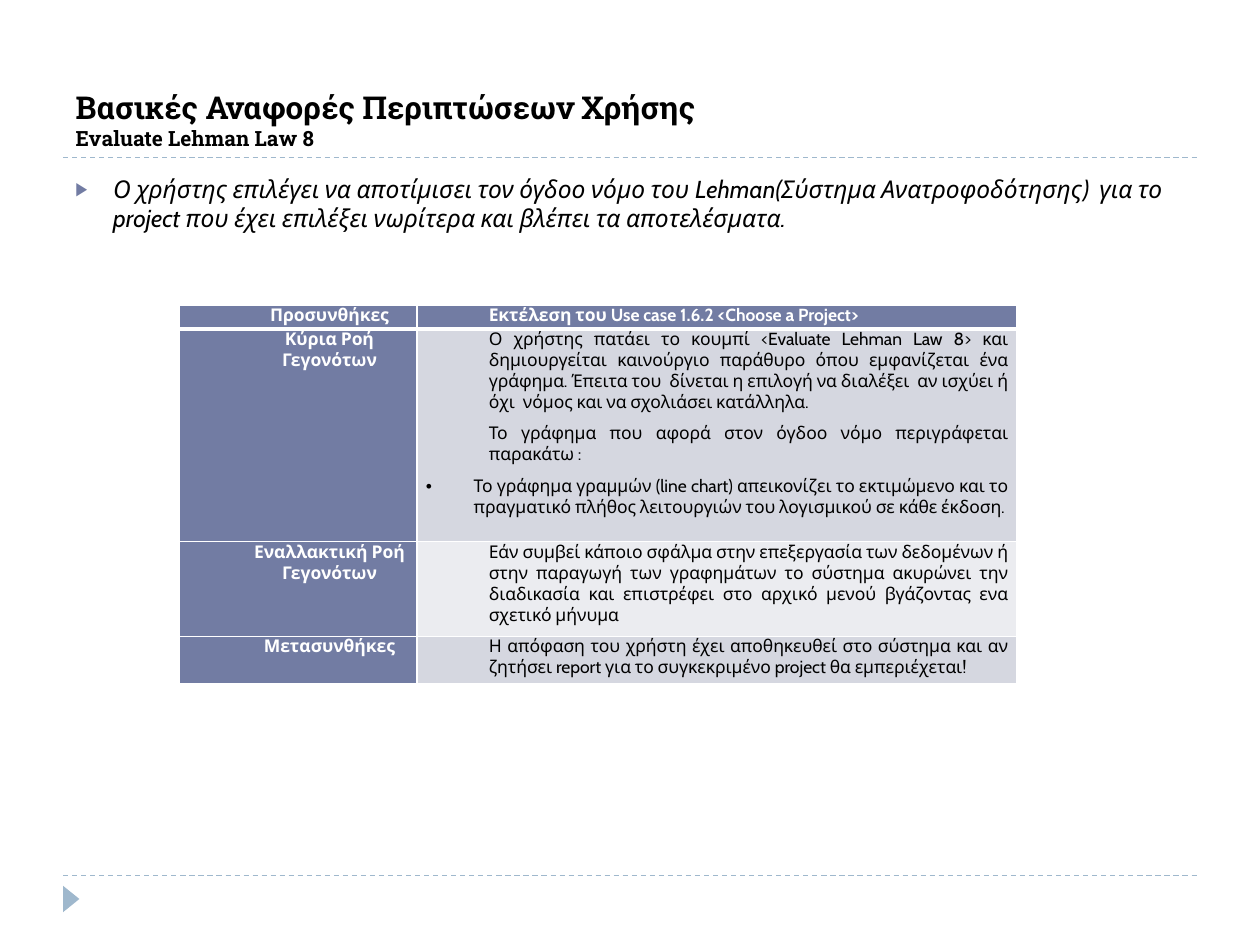
from lxml.etree import SubElement
from pptx import Presentation
from pptx.dml.color import RGBColor
from pptx.enum.dml import MSO_LINE
from pptx.enum.shapes import MSO_CONNECTOR, MSO_SHAPE
from pptx.enum.text import MSO_ANCHOR, MSO_AUTO_SIZE, PP_ALIGN
from pptx.oxml.ns import qn
from pptx.util import Inches, Pt

BLACK = RGBColor(0x00, 0x00, 0x00)
WHITE = RGBColor(0xFF, 0xFF, 0xFF)
PURPLE = RGBColor(0x72, 0x7C, 0xA3)
BLUE = RGBColor(0x9F, 0xB8, 0xCD)
BANDS = (RGBColor(0xD5, 0xD7, 0xE0), RGBColor(0xEB, 0xEC, 0xF0))
HEADING_FONT = "Roboto Slab"
BODY_FONT = "Cabin"

COLUMN_WIDTHS = (1.89, 4.76)
ROW_HEIGHTS = (0.19, 1.69, 0.75, 0.38)
BULLET = "•"
USE_CASE = [
    ("Προσυνθήκες", ["Εκτέλεση του Use case 1.6.2 <Choose a Project>"]),
    ("Κύρια Ροή Γεγονότων", [
        "Ο χρήστης πατάει το κουμπί <Evaluate Lehman Law 8> και δημιουργείται "
        "καινούργιο παράθυρο όπου εμφανίζεται ένα γράφημα. Έπειτα του  δίνεται η "
        "επιλογή να διαλέξει  αν ισχύει ή όχι  νόμος και να σχολιάσει κατάλληλα.",
        "Το γράφημα που αφορά στον όγδοο νόμο περιγράφεται παρακάτω : ",
        BULLET + "Το γράφημα γραμμών (line chart) απεικονίζει το εκτιμώμενο και το "
        "πραγματικό πλήθος λειτουργιών του λογισμικού σε κάθε έκδοση.",
    ]),
    ("Εναλλακτική Ροή Γεγονότων", [
        "Εάν συμβεί κάποιο σφάλμα στην επεξεργασία των δεδομένων ή στην παραγωγή "
        "των γραφημάτων το σύστημα ακυρώνει την διαδικασία και επιστρέφει στο "
        "αρχικό μενού βγάζοντας ενα σχετικό μήνυμα ",
    ]),
    ("Μετασυνθήκες", [
        "Η απόφαση του χρήστη έχει αποθηκευθεί στο σύστημα και αν ζητήσει report "
        "για το συγκεκριμένο project θα εμπεριέχεται!",
    ]),
]


def set_font(font, name, size, color, bold=False, italic=False):
    font.name, font.size = name, Pt(size)
    font.bold, font.italic = bold, italic
    font.color.rgb = color


def set_indent(para, margin, first=0):
    props = para._p.get_or_add_pPr()
    props.set("marL", str(Inches(margin)))
    props.set("indent", str(Inches(first)))


def add_bullet(para, char, color=None, percent=100):
    props = para._p.get_or_add_pPr()
    tags = ("a:buClr", "a:buSzPct", "a:buFont", "a:buChar")
    later = ("a:tabLst", "a:defRPr", "a:extLst")
    parts = []
    if color is not None:
        tint = props.makeelement(qn(tags[0]), {})
        SubElement(tint, qn("a:srgbClr"), val=str(color))
        parts.append(tint)
    parts.append(props.makeelement(qn(tags[1]), {"val": str(percent * 1000)}))
    parts.append(props.makeelement(qn(tags[2]), {"typeface": "Arial"}))
    parts.append(props.makeelement(qn(tags[3]), {"char": char}))
    for part in parts:
        props.insert_element_before(part, *later)


def add_rule(page, left, top, width):
    rule = page.shapes.add_connector(
        MSO_CONNECTOR.STRAIGHT, Inches(left), Inches(top), Inches(left + width), Inches(top))
    rule.line.color.rgb = BLUE
    rule.line.width = Pt(0.75)
    rule.line.dash_style = MSO_LINE.DASH
    SubElement(rule._element.spPr, qn("a:effectLst"))


def add_corner_marker(page, left, top, width, height):
    marker = page.shapes.add_shape(
        MSO_SHAPE.ISOSCELES_TRIANGLE, Inches(left), Inches(top), Inches(width), Inches(height))
    marker.rotation = 90
    marker.shadow.inherit = False
    marker.fill.solid()
    marker.fill.fore_color.rgb = BLUE
    marker.line.fill.background()


def place_title(page, left, top, width, height):
    title = page.shapes.title
    title.left, title.top = Inches(left), Inches(top)
    title.width, title.height = Inches(width), Inches(height)
    frame = title.text_frame
    frame.auto_size = MSO_AUTO_SIZE.NONE
    frame.vertical_anchor = MSO_ANCHOR.BOTTOM
    para = frame.paragraphs[0]
    para.alignment = PP_ALIGN.LEFT
    heading = para.add_run()
    heading.text = "Βασικές Αναφορές Περιπτώσεων Χρήσης "
    set_font(heading.font, HEADING_FONT, 18, BLACK, bold=True)
    para.add_line_break()
    subheading = para.add_run()
    subheading.text = "Evaluate Lehman Law 8"
    set_font(subheading.font, HEADING_FONT, 12, BLACK, bold=True)


def add_summary(page, left, top, width, height):
    box = page.shapes.add_textbox(Inches(left), Inches(top), Inches(width), Inches(height))
    box.text_frame.word_wrap = True
    para = box.text_frame.paragraphs[0]
    para.text = ("Ο χρήστης επιλέγει να αποτίμισει τον όγδοο νόμο του Lehman(Σύστημα "
                 "Ανατροφοδότησης)  για το project που έχει επιλέξει νωρίτερα και "
                 "βλέπει τα αποτελέσματα.")
    para.space_before = Pt(6)
    set_indent(para, 0.3, -0.3)
    add_bullet(para, "▶", PURPLE, 76)
    set_font(para.font, BODY_FONT, 14, BLACK, italic=True)


def set_borders(cell, bottom_width, top_width):
    props = cell._tc.get_or_add_tcPr()
    for side, width in (("L", 1), ("R", 1), ("T", top_width), ("B", bottom_width)):
        line = SubElement(props, qn("a:ln" + side), w=str(Pt(width)))
        fill = SubElement(line, qn("a:solidFill"))
        SubElement(fill, qn("a:srgbClr"), val=str(WHITE))


def fill_cell(cell, texts, alignment, color, bold):
    cell.margin_left = cell.margin_right = Inches(0.07)
    cell.margin_top = cell.margin_bottom = 0
    frame = cell.text_frame
    for index, text in enumerate(texts):
        para = frame.add_paragraph() if index else frame.paragraphs[0]
        para.text = text.removeprefix(BULLET)
        para.alignment = alignment
        para.line_spacing = Pt(12)
        para.space_after = Pt(6)
        if text.startswith(BULLET):
            set_indent(para, 0.38, -0.38)
            add_bullet(para, BULLET)
        else:
            set_indent(para, 0.5)
        set_font(para.font, BODY_FONT, 10, color, bold)


def add_use_case_table(page, left, top):
    table = page.shapes.add_table(
        len(ROW_HEIGHTS), len(COLUMN_WIDTHS), Inches(left), Inches(top),
        Inches(sum(COLUMN_WIDTHS)), Inches(sum(ROW_HEIGHTS))).table
    for column, width in zip(table.columns, COLUMN_WIDTHS):
        column.width = Inches(width)
    for index, (label, texts) in enumerate(USE_CASE):
        table.rows[index].height = Inches(ROW_HEIGHTS[index])
        name_cell, detail_cell = table.cell(index, 0), table.cell(index, 1)
        is_header = index == 0
        fill_cell(name_cell, [label], PP_ALIGN.CENTER, WHITE, True)
        fill_cell(detail_cell, texts, PP_ALIGN.JUSTIFY,
                  WHITE if is_header else BLACK, is_header)
        detail_fill = PURPLE if is_header else BANDS[(index - 1) % 2]
        for cell, color in ((name_cell, PURPLE), (detail_cell, detail_fill)):
            set_borders(cell, 3 if is_header else 1, 3 if index == 1 else 1)
            cell.fill.solid()
            cell.fill.fore_color.rgb = color


def main():
    deck = Presentation()
    deck.slide_width, deck.slide_height = Inches(10), Inches(7.5)
    page = deck.slides.add_slide(deck.slide_layouts[5])
    for top in (6.95, 1.25):
        add_rule(page, 0.5, top, 9)
    add_corner_marker(page, 0.46, 7.07, 0.21, 0.13)
    place_title(page, 0.5, 0.17, 9, 1.08)
    add_summary(page, 0.5, 1.33, 9, 1.09)
    add_use_case_table(page, 1.42, 2.42)
    deck.save("out.pptx")


if __name__ == "__main__":
    main()
